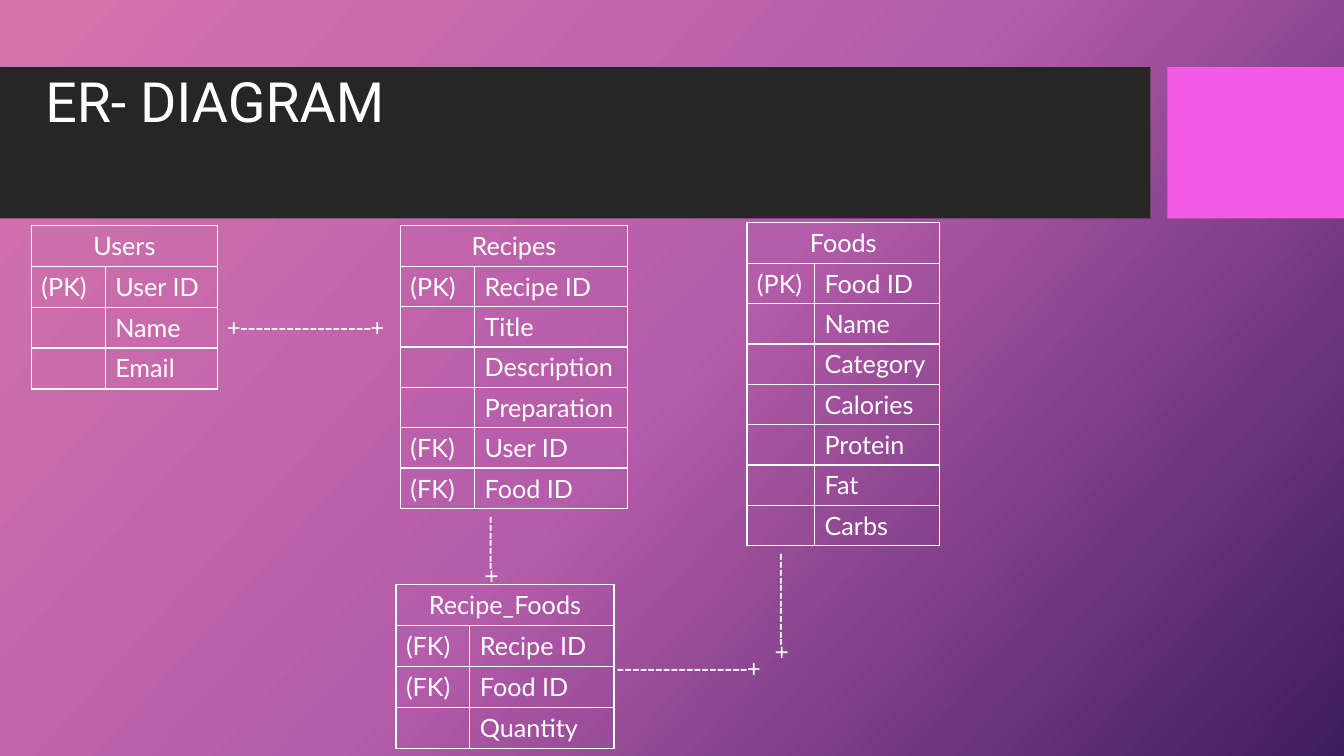
import pptx
import pptx.dml.color
import pptx.enum.shapes
import pptx.enum.text
import pptx.oxml
import pptx.oxml.ns
import pptx.util
import copy
import dataclasses

Pt = pptx.util.Pt
Align = pptx.enum.text.PP_ALIGN
Anchor = pptx.enum.text.MSO_ANCHOR


@dataclasses.dataclass(frozen=True)
class Theme:
    ink: str = "FFFFFF"
    band: str = "262626"
    accent: str = "F35AE6"
    stops: tuple = ((0, "D774AD"), (0.5, "B55CAB"), (1, "3E1C5F"))
    angle: int = 318
    head: tuple = ("Roboto", 39.6)
    field: tuple = ("Lato", 18)
    link: tuple = ("Calibri", 18)
    rule: int = 1


def paint(code):
    return pptx.dml.color.RGBColor.from_string(code)


class Board:
    def __init__(self, slide, theme):
        self.slide = slide
        self.theme = theme

    def ground(self):
        fill = self.slide.background.fill
        fill.gradient()
        fill.gradient_angle = self.theme.angle
        stops = self.slide.element.find(".//" + pptx.oxml.ns.qn("a:gsLst"))
        stops.append(copy.deepcopy(stops[-1]))
        for stop, (place, code) in zip(fill.gradient_stops, self.theme.stops):
            stop.position = place
            stop.color.rgb = paint(code)

    def block(self, box, code):
        kind = pptx.enum.shapes.MSO_SHAPE.RECTANGLE
        shape = self.slide.shapes.add_shape(kind, *map(Pt, box))
        shape.shadow.inherit = False
        shape.fill.solid()
        shape.fill.fore_color.rgb = paint(code)
        shape.line.fill.background()

    def label(self, frame, text, face, align=Align.LEFT):
        frame.text = text
        line = frame.paragraphs[0]
        line.alignment = align
        line.font.name, size = face
        line.font.size = Pt(size)
        line.font.color.rgb = paint(self.theme.ink)
        return line

    def title(self, box, text):
        shape = self.slide.shapes.title
        shape.left, shape.top, shape.width, shape.height = map(Pt, box)
        self.slide.shapes.element.append(shape.element)
        frame = shape.text_frame
        frame.auto_size = pptx.enum.text.MSO_AUTO_SIZE.NONE
        frame.word_wrap = True
        frame.vertical_anchor = Anchor.MIDDLE
        self.label(frame, text, self.theme.head).line_spacing = 0.9

    def edge(self, cell):
        props = cell._tc.get_or_add_tcPr()
        for spot, side in enumerate("LRTB"):
            props.insert(spot, pptx.oxml.parse_xml(
                f'<a:ln{side} {pptx.oxml.ns.nsdecls("a")} w="{Pt(self.theme.rule)}">'
                f'<a:solidFill><a:srgbClr val="{self.theme.ink}"/></a:solidFill>'
                f'</a:ln{side}>'))

    def grid(self, left, top, cols, tall, rows, align=Align.LEFT):
        size = Pt(sum(cols)), Pt(tall * len(rows))
        table = self.slide.shapes.add_table(
            len(rows), len(cols), Pt(left), Pt(top), *size).table
        table.first_row = table.horz_banding = False
        for col, wide in zip(table.columns, cols):
            col.width = Pt(wide)
        for row, texts in zip(table.rows, rows):
            row.height = Pt(tall)
            for cell, text in zip(row.cells, texts):
                cell.fill.background()
                self.edge(cell)
                self.label(cell.text_frame, text, self.theme.field, align)

    def entry(self, name, left, top, cols, tall, rows):
        head = 29.2
        self.grid(left, top + head, cols, tall, rows)
        self.grid(left, top, [sum(cols)], head, [[name]], Align.CENTER)

    def link(self, box, text, turn=0):
        shape = self.slide.shapes.add_textbox(*map(Pt, box))
        shape.rotation = turn
        shape.text_frame.word_wrap = True
        self.label(shape.text_frame, text, self.theme.link)


def main():
    deck = pptx.Presentation()
    deck.slide_width, deck.slide_height = Pt(960), Pt(540)
    theme = Theme()
    board = Board(deck.slides.add_slide(deck.slide_layouts[5]), theme)

    board.ground()
    board.block((0, 48, 821.8, 108), theme.band)
    board.block((833.8, 48, 126.2, 108), theme.accent)
    board.title((25.2, 52.5, 313, 45), "ER- DIAGRAM")

    board.entry("Users", 22.4, 161, (52.8, 80.2), 29.2, [
        ("(PK)", "User ID"), ("", "Name"), ("", "Email")])
    board.entry("Recipes", 286, 161, (53, 109.3), 28.8, [
        ("(PK)", "Recipe ID"), ("", "Title"), ("", "Description"),
        ("", "Preparation"), ("(FK)", "User ID"), ("(FK)", "Food ID")])
    foods = ("Name", "Category", "Calories", "Protein", "Fat", "Carbs")
    board.entry("Foods", 533.5, 158.8, (48.3, 89.4), 28.8,
                [("(PK)", "Food ID")] + [("", name) for name in foods])
    board.entry("Recipe_Foods", 282.8, 417.6, (52.8, 103), 29.2, [
        ("(FK)", "Recipe ID"), ("(FK)", "Food ID"), ("", "Quantity")])

    board.link((155.5, 219, 127.4, 29), "+" + "-" * 17 + "+")
    board.link((305.3, 394.6, 94.3, 29), "-" * 7 + "+", 90)
    board.link((433.4, 462.2, 155.5, 29), "-" * 17 + "+")
    board.link((445.7, 488.2, 228.2, 29), "-" * 12 + "+", 90)

    deck.save("out.pptx")


if __name__ == "__main__":
    main()
